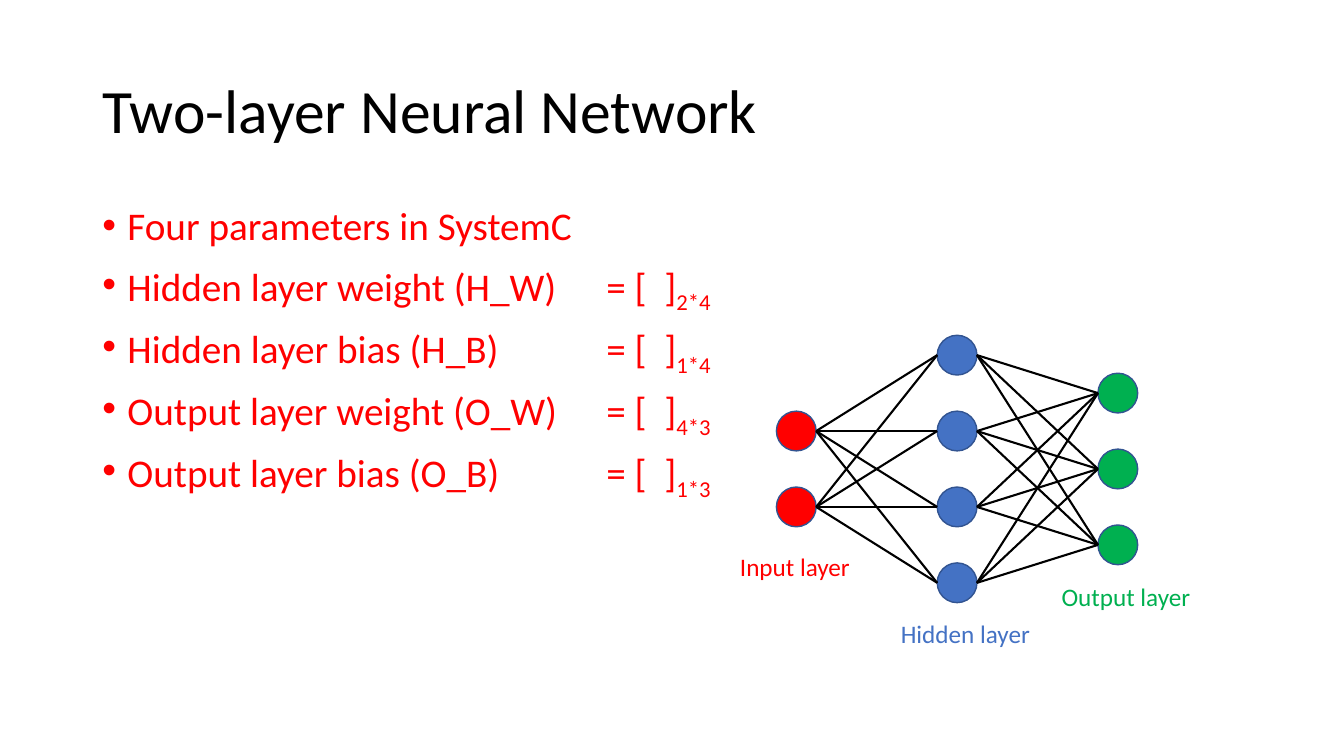
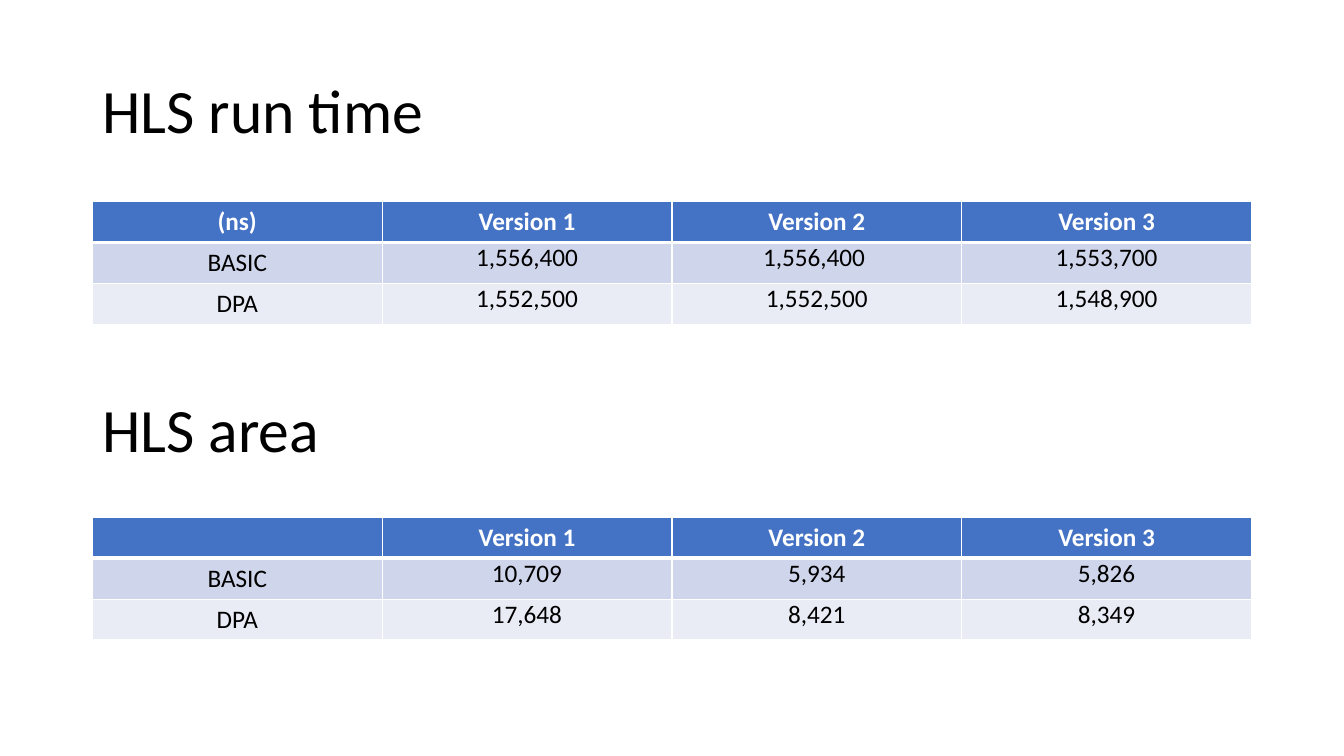
from dataclasses import dataclass
from itertools import pairwise, product

from lxml.etree import SubElement
from pptx import Presentation
from pptx.dml.color import RGBColor
from pptx.enum.shapes import MSO_CONNECTOR, MSO_SHAPE
from pptx.enum.text import MSO_ANCHOR, MSO_AUTO_SIZE, PP_ALIGN
from pptx.oxml.ns import qn
from pptx.presentation import Presentation as Deck
from pptx.shapes.base import BaseShape
from pptx.slide import Slide
from pptx.table import _Cell as Cell
from pptx.text.text import TextFrame, _Paragraph as Paragraph, _Run as Run
from pptx.util import Pt


@dataclass(frozen=True)
class Theme:
    font: str = "Calibri"
    title_size: float = 44
    body_size: float = 28
    small_size: float = 18
    line_spacing: float = 0.9
    black: str = "000000"
    white: str = "FFFFFF"
    red: str = "FF0000"
    blue: str = "4472C4"
    green: str = "00B050"
    outline: str = "325491"
    bands: tuple[str, str] = ("CFD5EA", "E9EBF5")


@dataclass(frozen=True)
class Box:
    left: float
    top: float
    width: float
    height: float


@dataclass(frozen=True)
class Layer:
    label: str
    count: int
    color: str
    label_top: float


@dataclass(frozen=True)
class Parameter:
    name: str
    size: str


@dataclass(frozen=True)
class Results:
    top: float
    rows: tuple[tuple[str, ...], ...]


THEME = Theme()
MARGIN = 66
CONTENT_WIDTH = 828
TITLE_BOX = Box(MARGIN, 28.75, CONTENT_WIDTH, 104.4)
AREA_TITLE_BOX = Box(MARGIN, 256.5, CONTENT_WIDTH, 104.4)
BODY_BOX = Box(MARGIN, 143.75, CONTENT_WIDTH, 342.6)
ROW_HEIGHT = 29.2

BULLET_INDENT = 18
VALUE_TAB = 360

NODE_SIZE = 28.4
NODE_PITCH = 54.2
LAYER_LEFT = 554.6
LAYER_PITCH = 114.85
NETWORK_MIDDLE = 335
LABEL_SHIFT = 33.1
LABEL_WIDTH = 150
LABEL_HEIGHT = 29

PARAMETERS = (
    Parameter("Hidden layer weight (H_W)", "2*4"),
    Parameter("Hidden layer bias (H_B)", "1*4"),
    Parameter("Output layer weight (O_W)", "4*3"),
    Parameter("Output layer bias (O_B)", "1*3"),
)
LAYERS = (
    Layer("Input layer", 2, THEME.red, 390.2),
    Layer("Hidden layer", 4, THEME.blue, 437.8),
    Layer("Output layer", 3, THEME.green, 411.8),
)
VERSIONS = ("Version 1", "Version 2", "Version 3")
RUN_TIME = Results(144, (
    ("(ns)", *VERSIONS),
    ("BASIC", "1,556,400", "1,556,400 ", "1,553,700"),
    ("DPA", "1,552,500", "1,552,500", "1,548,900"),
))
AREA = Results(369.6, (
    ("", *VERSIONS),
    ("BASIC", "10,709", "5,934", "5,826"),
    ("DPA", "17,648", "8,421", "8,349"),
))


def add_span(para: Paragraph, text: str, size: float, color: str,
             bold: bool = False) -> Run:
    span = para.add_run()
    span.text = text
    span.font.name = THEME.font
    span.font.size = Pt(size)
    span.font.bold = bold
    span.font.color.rgb = RGBColor.from_string(color)
    return span


def add_text_box(slide: Slide, box: Box) -> TextFrame:
    shape = slide.shapes.add_textbox(
        Pt(box.left), Pt(box.top), Pt(box.width), Pt(box.height))
    shape.text_frame.word_wrap = True
    return shape.text_frame


def write_heading(frame: TextFrame, text: str) -> None:
    frame.word_wrap = True
    frame.auto_size = MSO_AUTO_SIZE.NONE
    frame.vertical_anchor = MSO_ANCHOR.MIDDLE
    para = frame.paragraphs[0]
    para.alignment = PP_ALIGN.LEFT
    para.line_spacing = THEME.line_spacing
    add_span(para, text, THEME.title_size, THEME.black)


def add_titled_slide(deck: Deck, text: str) -> Slide:
    slide = deck.slides.add_slide(deck.slide_layouts.get_by_name("Title Only"))
    title = slide.shapes.title
    title.left, title.top = Pt(TITLE_BOX.left), Pt(TITLE_BOX.top)
    title.width, title.height = Pt(TITLE_BOX.width), Pt(TITLE_BOX.height)
    write_heading(title.text_frame, text)
    return slide


def format_bullet(para: Paragraph) -> None:
    para.line_spacing = THEME.line_spacing
    para.space_before = Pt(10)
    properties = para._p.get_or_add_pPr()
    properties.set("marL", str(Pt(BULLET_INDENT)))
    properties.set("indent", str(-Pt(BULLET_INDENT)))
    properties.set("defTabSz", str(Pt(VALUE_TAB)))
    SubElement(properties, qn("a:buFont"), typeface="Arial")
    SubElement(properties, qn("a:buChar"), char="•")


def add_parameters(slide: Slide) -> None:
    frame = add_text_box(slide, BODY_BOX)
    para = frame.paragraphs[0]
    format_bullet(para)
    add_span(para, "Four parameters in SystemC", THEME.body_size, THEME.red)
    for parameter in PARAMETERS:
        para = frame.add_paragraph()
        format_bullet(para)
        add_span(para, f"{parameter.name}\t= [  ]", THEME.body_size, THEME.red)
        size = add_span(para, parameter.size, THEME.body_size, THEME.red)
        size._r.get_or_add_rPr().set("baseline", "-25000")


def add_layer(slide: Slide, layer: Layer, left: float) -> list[BaseShape]:
    """Draw one column of neurons with its label, centred on the network."""
    first_middle = NETWORK_MIDDLE - (layer.count - 1) * NODE_PITCH / 2
    nodes = []
    for index in range(layer.count):
        top = first_middle + index * NODE_PITCH - NODE_SIZE / 2
        node = slide.shapes.add_shape(
            MSO_SHAPE.OVAL, Pt(left), Pt(top), Pt(NODE_SIZE), Pt(NODE_SIZE))
        node.shadow.inherit = False
        node.fill.solid()
        node.fill.fore_color.rgb = RGBColor.from_string(layer.color)
        node.line.color.rgb = RGBColor.from_string(THEME.outline)
        node.line.width = Pt(1)
        nodes.append(node)
    label = add_text_box(slide, Box(
        left - LABEL_SHIFT, layer.label_top, LABEL_WIDTH, LABEL_HEIGHT))
    add_span(label.paragraphs[0], layer.label, THEME.small_size, layer.color)
    return nodes


def add_link(slide: Slide, source: BaseShape, target: BaseShape) -> None:
    link = slide.shapes.add_connector(
        MSO_CONNECTOR.STRAIGHT,
        source.left + source.width, source.top + source.height // 2,
        target.left, target.top + target.height // 2)
    link.line.color.rgb = RGBColor.from_string(THEME.black)
    link.line.width = Pt(1.5)
    SubElement(link._element.spPr, qn("a:effectLst"))


def add_network(slide: Slide) -> None:
    columns = [add_layer(slide, layer, LAYER_LEFT + index * LAYER_PITCH)
               for index, layer in enumerate(LAYERS)]
    for sources, targets in pairwise(columns):
        for source, target in product(sources, targets):
            add_link(slide, source, target)


def set_borders(cell: Cell, top: float, bottom: float) -> None:
    properties = cell._tc.get_or_add_tcPr()
    for side, width in (("L", 1), ("R", 1), ("T", top), ("B", bottom)):
        line = SubElement(properties, qn(f"a:ln{side}"), w=str(Pt(width)))
        fill = SubElement(line, qn("a:solidFill"))
        SubElement(fill, qn("a:srgbClr"), val=THEME.white)


def add_results(slide: Slide, results: Results) -> None:
    row_count, column_count = len(results.rows), len(results.rows[0])
    table = slide.shapes.add_table(
        row_count, column_count, Pt(MARGIN), Pt(results.top),
        Pt(CONTENT_WIDTH), Pt(ROW_HEIGHT * row_count)).table
    for row, column in product(range(row_count), range(column_count)):
        cell = table.cell(row, column)
        header = row == 0
        set_borders(cell, 3 if row == 1 else 1, 3 if header else 1)
        cell.fill.solid()
        cell.fill.fore_color.rgb = RGBColor.from_string(
            THEME.blue if header else THEME.bands[(row - 1) % 2])
        if not header and column:
            cell.margin_left = cell.margin_right = Pt(5)
            cell.margin_top = cell.margin_bottom = Pt(0)
        para = cell.text_frame.paragraphs[0]
        para.alignment = PP_ALIGN.CENTER
        para.font.size = Pt(THEME.small_size)
        text = results.rows[row][column]
        if text:
            add_span(para, text, THEME.small_size,
                     THEME.white if header else THEME.black, header)


def main() -> None:
    deck = Presentation()
    deck.slide_width, deck.slide_height = Pt(960), Pt(540)

    network = add_titled_slide(deck, "Two-layer Neural Network")
    add_parameters(network)
    add_network(network)

    results = add_titled_slide(deck, "HLS run time")
    add_results(results, RUN_TIME)
    write_heading(add_text_box(results, AREA_TITLE_BOX), "HLS area")
    add_results(results, AREA)

    deck.save("out.pptx")


if __name__ == "__main__":
    main()
